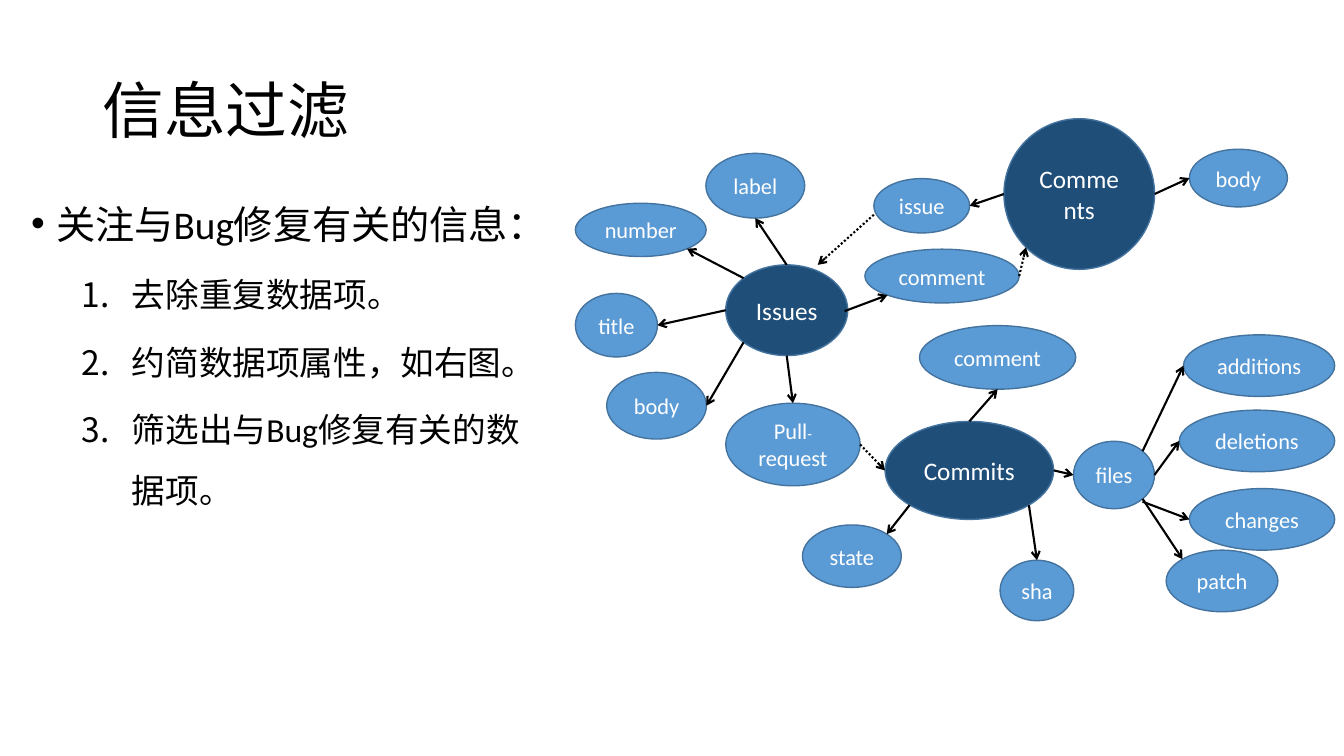
from lxml import etree
from pptx import Presentation
from pptx.dml.color import RGBColor
from pptx.enum.dml import MSO_LINE
from pptx.enum.shapes import MSO_CONNECTOR, MSO_SHAPE
from pptx.enum.text import MSO_ANCHOR, MSO_AUTO_SIZE, PP_ALIGN
from pptx.oxml.ns import qn
from pptx.util import Pt

BLACK = RGBColor(0x00, 0x00, 0x00)
WHITE = RGBColor(0xFF, 0xFF, 0xFF)
NAVY = RGBColor(0x1F, 0x4E, 0x79)
BLUE = RGBColor(0x5B, 0x9B, 0xD5)
OUTLINE = RGBColor(0x43, 0x73, 0x9E)
LATIN, CJK = "Calibri", "Noto Sans CJK JP"

# Anchor points on an ellipse, in half widths and half heights from its centre
D = 0.707
N, S, W, E = (0, -1), (0, 1), (-1, 0), (1, 0)
NW, NE, SW, SE = (-D, -D), (D, -D), (-D, D), (D, D)

# name: (label, left, top, width, height)
ENTITIES = {
    "issues": ("Issues", 518.4, 189.2, 87.1, 64.8),
    "comments": ("Comments", 717.1, 84.8, 107.6, 107.6),
    "commits": ("Commits", 632.2, 301, 120.4, 70),
}
ATTRIBUTES = {
    "number": ("number", 411, 145.2, 93.4, 38),
    "label": ("label", 504.2, 109.6, 70.6, 46.2),
    "title": ("title", 411, 209.6, 58.6, 45.4),
    "issue body": ("body", 433.4, 266, 71.2, 47.6),
    "pull": ("Pull-request", 518.4, 288, 96, 59),
    "issue comment": ("comment", 617.8, 178, 110.2, 38.4),
    "issue": ("issue", 624.2, 127.6, 68.4, 38.8),
    "comment body": ("body", 849.6, 106.6, 70, 41.2),
    "state": ("state", 573.2, 375, 70.6, 44.6),
    "sha": ("sha", 714.4, 400.2, 52.6, 43.2),
    "files": ("files", 766.8, 315.2, 57.8, 48.2),
    "additions": ("additions", 845.4, 239.2, 108, 44),
    "deletions": ("deletions", 842.4, 293, 111, 44),
    "changes": ("changes", 849.6, 349, 103.8, 44),
    "patch": ("patch", 833, 393, 79.8, 44),
    "commit comment": ("comment", 656.8, 232.6, 111.6, 45.4),
}
LINKS = [
    ("issues", N, "label", S),
    ("issues", (0.95, 0.02), "issue comment", SW),
    ("issues", S, "pull", N),
    ("issues", SW, "issue body", E),
    ("issues", W, "title", E),
    ("issues", NW, "number", SE),
    ("comments", W, "issue", E),
    ("comments", E, "comment body", W),
    ("commits", SW, "state", NE),
    ("commits", SE, "sha", N),
    ("commits", E, "files", W),
    ("commits", N, "commit comment", S),
    ("files", NE, "additions", W),
    ("files", E, "deletions", W),
    ("files", (D, 0.79), "changes", W),
    ("files", SE, "patch", NW),
]
REFERENCES = [
    ("issue comment", E, "comments", SW),
    ("issue", (-1, 0.33), "issues", (0.51, -1)),
    ("pull", E, "commits", W),
]
STEPS = ["去除重复数据项。", "约简数据项属性，如右图。", "筛选出与Bug修复有关的数据项。"]


def add_text(p, text, size=16, color=BLACK, latin=LATIN):
    r = p.add_run()
    r.text = text
    r.font.size = Pt(size)
    r.font.name = latin
    r.font.color.rgb = color
    etree.SubElement(r._r.get_or_add_rPr(), qn("a:ea"), typeface=CJK)


def place(s, left, top, width, height):
    s.left, s.top, s.width, s.height = Pt(left), Pt(top), Pt(width), Pt(height)


def add_title(s, text):
    place(s, 66, 28.8, 828, 104.4)
    tf = s.text_frame
    tf.auto_size = MSO_AUTO_SIZE.NONE
    tf.vertical_anchor = MSO_ANCHOR.MIDDLE
    p = tf.paragraphs[0]
    p.alignment = PP_ALIGN.LEFT
    p.line_spacing = 0.9
    add_text(p, text, size=44, latin=CJK)


def add_item(p, text, size, before, margin, hanging, bullet, **attrs):
    """Fill a list paragraph; bullet is the DrawingML tag and attrs its attributes."""
    p.line_spacing = 1.5
    p.space_before = Pt(before)
    pPr = p._p.get_or_add_pPr()
    pPr.set("marL", str(Pt(margin)))
    pPr.set("indent", str(-Pt(hanging)))
    if bullet == "a:buChar":
        etree.SubElement(pPr, qn("a:buFont"), typeface="Arial")
    else:
        etree.SubElement(pPr, qn("a:buFont"), typeface="+mj-lt")
    etree.SubElement(pPr, qn(bullet), **attrs)
    add_text(p, text, size=size)


def add_list(s, heading, steps):
    place(s, 15, 122.4, 372.2, 342.8)
    tf = s.text_frame
    tf.auto_size = MSO_AUTO_SIZE.NONE
    add_item(tf.paragraphs[0], heading, 28, 10, 18, 18, "a:buChar", char="•")
    for step in steps:
        p = tf.add_paragraph()
        p.level = 1
        add_item(p, step, 24, 5, 72, 36, "a:buAutoNum", type="arabicPeriod")


def add_node(slide, label, box, fill, size):
    s = slide.shapes.add_shape(MSO_SHAPE.OVAL, *map(Pt, box))
    s.shadow.inherit = False
    s.fill.solid()
    s.fill.fore_color.rgb = fill
    s.line.color.rgb = OUTLINE
    s.line.width = Pt(1)
    tf = s.text_frame
    tf.word_wrap = True
    tf.margin_left = tf.margin_right = Pt(6)
    tf.vertical_anchor = MSO_ANCHOR.MIDDLE
    p = tf.paragraphs[0]
    p.alignment = PP_ALIGN.CENTER
    head, hyphen, tail = label.partition("-")
    for text, text_size in ((head, size), (hyphen, 11), (tail, size)):
        if text:
            add_text(p, text, size=text_size, color=WHITE)
    return s


def anchor(s, site):
    dx, dy = site
    return (int(s.left + s.width * (1 + dx) / 2),
            int(s.top + s.height * (1 + dy) / 2))


def add_arrow(slide, start, end, dash=None):
    c = slide.shapes.add_connector(MSO_CONNECTOR.STRAIGHT, *start, *end)
    c.line.color.rgb = BLACK
    c.line.width = Pt(1.5)
    if dash:
        c.line.dash_style = dash
    etree.SubElement(c.line._get_or_add_ln(), qn("a:tailEnd"), type="arrow")
    etree.SubElement(c._element.spPr, qn("a:effectLst"))


def main():
    prs = Presentation()
    prs.slide_width, prs.slide_height = Pt(960), Pt(540)
    slide = prs.slides.add_slide(prs.slide_layouts[1])
    title, body = slide.placeholders
    add_title(title, "信息过滤")
    add_list(body, "关注与Bug修复有关的信息：", STEPS)

    nodes = {}
    for group, fill, size in ((ENTITIES, NAVY, 18), (ATTRIBUTES, BLUE, 16)):
        for name, (label, *box) in group.items():
            nodes[name] = add_node(slide, label, box, fill, size)
    for links, dash in ((LINKS, None), (REFERENCES, MSO_LINE.ROUND_DOT)):
        for source, exit_site, target, entry_site in links:
            add_arrow(slide, anchor(nodes[source], exit_site),
                      anchor(nodes[target], entry_site), dash)
    prs.save("out.pptx")


if __name__ == "__main__":
    main()
